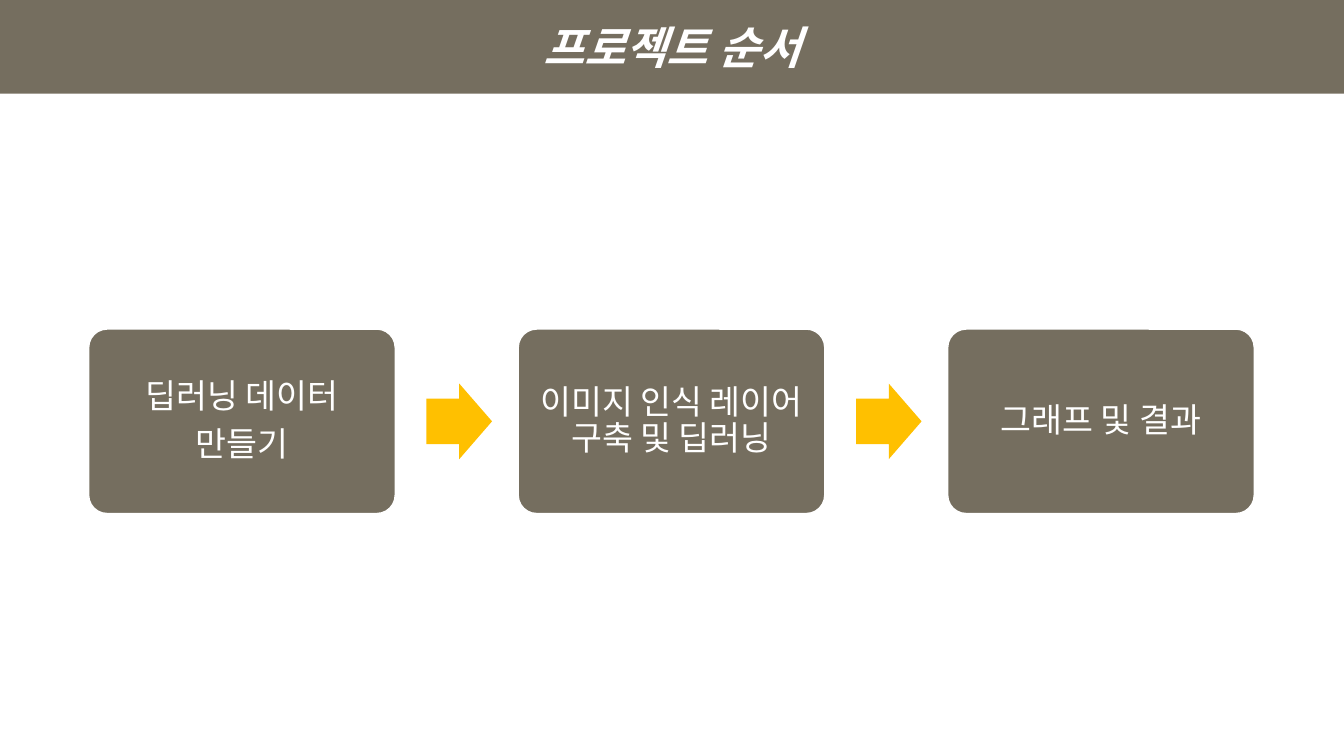
import pptx
import pptx.dml.color
import pptx.enum.shapes
import pptx.enum.text
import pptx.oxml.ns
import pptx.util
from lxml import etree

TITLE = "프로젝트 순서"
STEPS = [
    ["딥러닝 데이터", "만들기"],
    ["이미지 인식 레이어 구축 및 딥러닝"],
    ["그래프 및 결과"],
]
COLORS = {"taupe": "756E5F", "amber": "FFC000", "white": "FFFFFF"}
FONT = "Noto Sans CJK KR"

SLIDE_WIDTH, SLIDE_HEIGHT = 13.33, 7.5
TITLE_HEIGHT = 0.93
STEP_LEFT, STEP_PITCH = 0.88, 4.26
STEP_WIDTH, STEP_HEIGHT = 3.04, 1.83
ARROW_OFFSET, ARROW_WIDTH, ARROW_HEIGHT = 3.35, 0.65, 0.75
MIDDLE = 4.18
TEXT_INSET = 0.1

Inches = pptx.util.Inches
SHAPES = pptx.enum.shapes.MSO_SHAPE


def rgb(name):
    return pptx.dml.color.RGBColor.from_string(COLORS[name])


def fill_solid(shape, color):
    shape.fill.solid()
    shape.fill.fore_color.rgb = rgb(color)


def write_lines(shape, lines, size, bold=False, italic=False, spacing=1.0, after=0):
    """Put one centred paragraph per line, vertically in the middle."""
    frame = shape.text_frame
    frame.word_wrap = True
    frame.auto_size = pptx.enum.text.MSO_AUTO_SIZE.NONE
    frame.vertical_anchor = pptx.enum.text.MSO_ANCHOR.MIDDLE
    for index, line in enumerate(lines):
        paragraph = frame.add_paragraph() if index else frame.paragraphs[0]
        paragraph.alignment = pptx.enum.text.PP_ALIGN.CENTER
        paragraph.line_spacing = spacing
        paragraph.space_after = pptx.util.Pt(after)
        run = paragraph.add_run()
        run.text = line
        font = run.font
        font.name, font.size = FONT, pptx.util.Pt(size)
        font.bold, font.italic = bold, italic
        font.color.rgb = rgb("white")
        # Korean text takes its typeface from the East Asian font slot.
        east_asian = etree.SubElement(run._r.get_or_add_rPr(), pptx.oxml.ns.qn("a:ea"))
        east_asian.set("typeface", FONT)


def add_centred_shape(slide, kind, left, width, height, color, adjustments):
    """Add a filled shape centred on the row of steps."""
    shape = slide.shapes.add_shape(
        kind, Inches(left), Inches(MIDDLE - height / 2), Inches(width), Inches(height))
    shape.shadow.inherit = False
    fill_solid(shape, color)
    for index, value in enumerate(adjustments):
        shape.adjustments[index] = value
    return shape


def add_step(slide, left, lines):
    box = add_centred_shape(slide, SHAPES.ROUNDED_RECTANGLE, left,
                            STEP_WIDTH, STEP_HEIGHT, "taupe", [0.1])
    box.line.color.rgb = rgb("white")
    box.line.width = pptx.util.Pt(1)
    frame = box.text_frame
    frame.margin_left = frame.margin_right = Inches(TEXT_INSET)
    frame.margin_top = frame.margin_bottom = Inches(TEXT_INSET)
    write_lines(box, lines, 24, spacing=0.9, after=8.4)


def add_arrow(slide, left):
    arrow = add_centred_shape(slide, SHAPES.RIGHT_ARROW, left,
                              ARROW_WIDTH, ARROW_HEIGHT, "amber", [0.6, 0.5])
    arrow.line.fill.background()


def main():
    presentation = pptx.Presentation()
    presentation.slide_width = Inches(SLIDE_WIDTH)
    presentation.slide_height = Inches(SLIDE_HEIGHT)
    slide = presentation.slides.add_slide(presentation.slide_layouts[5])

    title = slide.shapes.title
    title.left, title.top = 0, 0
    title.width, title.height = presentation.slide_width, Inches(TITLE_HEIGHT)
    fill_solid(title, "taupe")
    write_lines(title, [TITLE], 32, bold=True, italic=True)

    for index, lines in enumerate(STEPS):
        left = STEP_LEFT + index * STEP_PITCH
        add_step(slide, left, lines)
        if index < len(STEPS) - 1:
            add_arrow(slide, left + ARROW_OFFSET)

    presentation.save("out.pptx")


if __name__ == "__main__":
    main()
